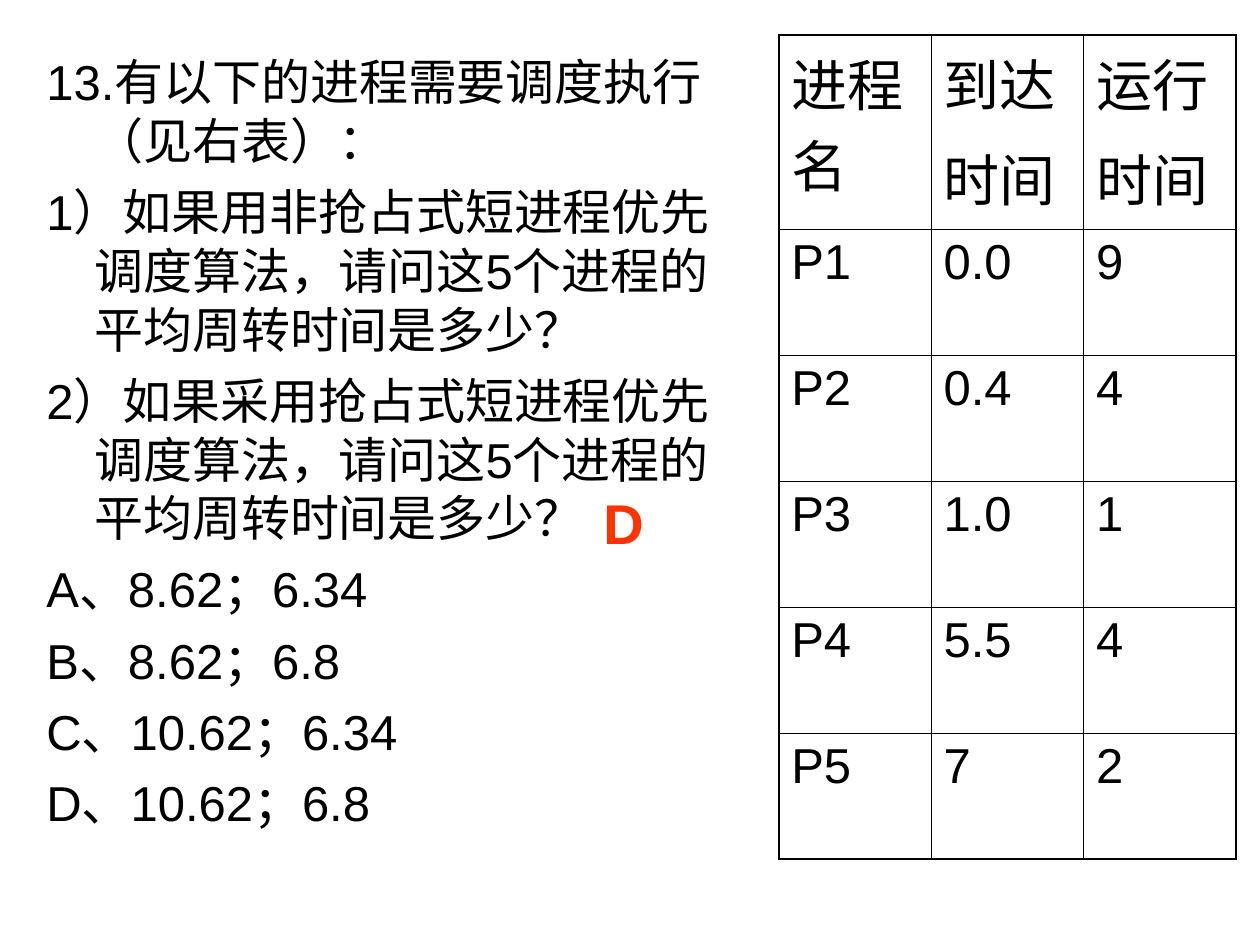
from lxml import etree
from pptx import Presentation
from pptx import util as u
from pptx.dml.color import RGBColor
from pptx.oxml.ns import qn

BLACK = RGBColor(0x00, 0x00, 0x00)
ANSWER_RED = RGBColor(0xFF, 0x33, 0x00)
FONT = "Arial"
THIN, THICK = 0.45, 1.08

# Content
QUESTION = [
    "13.有以下的进程需要调度执行（见右表）：",
    "1）如果用非抢占式短进程优先调度算法，请问这5个进程的平均周转时间是多少？",
    "2）如果采用抢占式短进程优先调度算法，请问这5个进程的平均周转时间是多少？",
    "A、8.62；6.34",
    "B、8.62；6.8",
    "C、10.62；6.34",
    "D、10.62；6.8",
]
ANSWER = "D"
HEADER = [["进程名"], ["到达", "时间"], ["运行", "时间"]]
PROCESSES = [
    ("P1", "0.0", "9"),
    ("P2", "0.4", "4"),
    ("P3", "1.0", "1"),
    ("P4", "5.5", "4"),
    ("P5", "7", "2"),
]

# Table grid, in inches
COL_W, HEAD_H, ROW_H = 1.21, 1.54, 1


def write(tf, lines, size, before, color=BLACK, bold=False, hanging=0):
    for i, line in enumerate(lines):
        p = tf.paragraphs[0] if i == 0 else tf.add_paragraph()
        p.space_before = u.Pt(before)
        if hanging:
            pPr = p._p.get_or_add_pPr()
            pPr.set("marL", str(u.Inches(hanging)))
            pPr.set("indent", str(-u.Inches(hanging)))
        r = p.add_run()
        r.text = line
        r.font.name, r.font.size, r.font.bold = FONT, u.Pt(size), bold
        r.font.color.rgb = color


def add_text(slide, box, *args, **kwargs):
    tf = slide.shapes.add_textbox(*map(u.Inches, box)).text_frame
    tf.word_wrap = True
    write(tf, *args, **kwargs)


def set_borders(cell, widths):
    tcPr = cell._tc.get_or_add_tcPr()
    for side, width in widths.items():
        ln = etree.SubElement(tcPr, qn(f"a:ln{side}"), w=str(u.Pt(width)))
        fill = etree.SubElement(ln, qn("a:solidFill"))
        etree.SubElement(fill, qn("a:srgbClr"), val=str(BLACK))


prs = Presentation()
prs.slide_width, prs.slide_height = u.Inches(10), u.Inches(7.5)
s = prs.slides.add_slide(prs.slide_layouts[6])

# Question and options
add_text(s, (0.27, 0.36, 5.75, 6.85), QUESTION, 28, 7, hanging=0.38)

# Process table: thick outline, thin inner lines
rows = [HEADER] + [[[value] for value in process] for process in PROCESSES]
n_rows, n_cols = len(rows), len(HEADER)
height = HEAD_H + ROW_H * len(PROCESSES)
table = s.shapes.add_table(n_rows, n_cols, u.Inches(6.18), u.Inches(0.28),
                           u.Inches(COL_W * n_cols), u.Inches(height)).table
table.first_row = table.horz_banding = False
for col in table.columns:
    col.width = u.Inches(COL_W)
for i, row in enumerate(rows):
    table.rows[i].height = u.Inches(ROW_H if i else HEAD_H)
    for j, lines in enumerate(row):
        cell = table.cell(i, j)
        write(cell.text_frame, lines, *((28, 7) if i else (32, 8)))
        set_borders(cell, {
            "L": THICK if j == 0 else THIN,
            "R": THICK if j == n_cols - 1 else THIN,
            "T": THICK if i == 0 else THIN,
            "B": THICK if i == n_rows - 1 else THIN,
        })
        cell.fill.background()

# Answer mark
add_text(s, (4.69, 3.83, 0.67, 0.64), [ANSWER], 32, 20, ANSWER_RED, bold=True)

prs.save("out.pptx")
